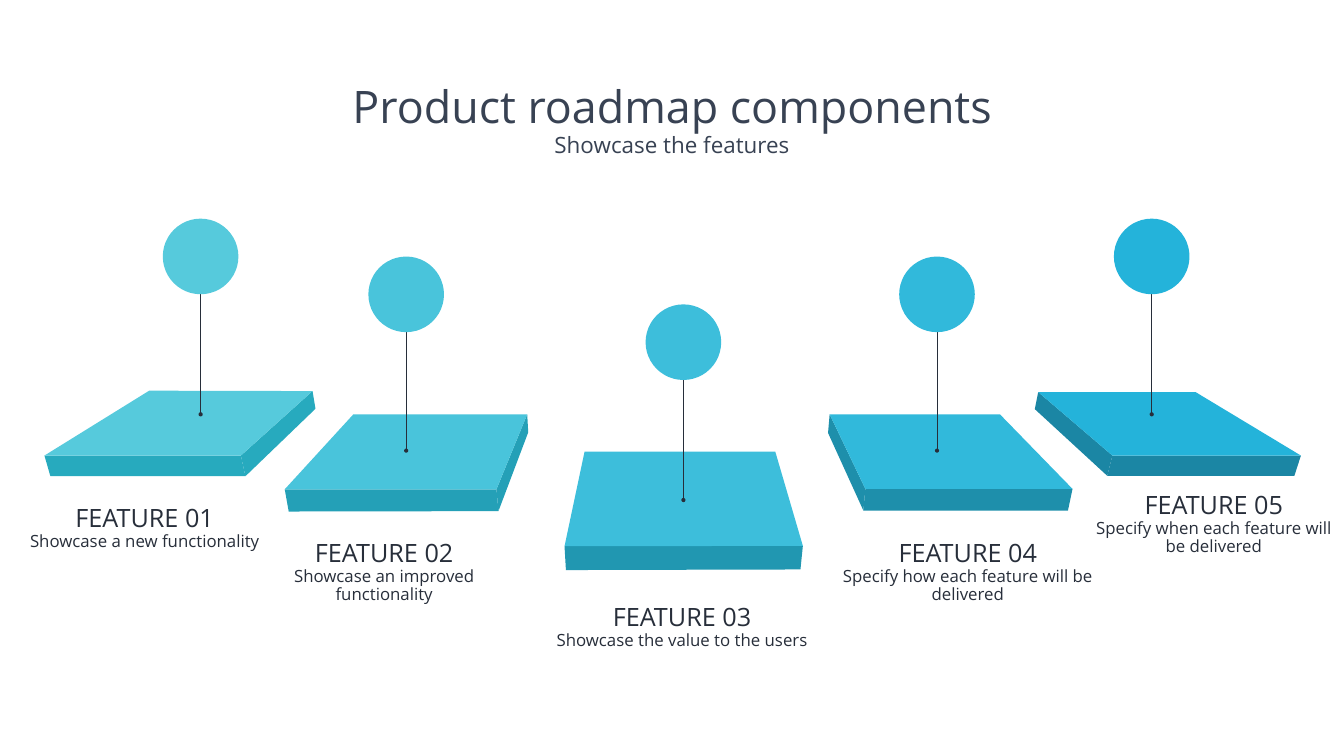
from lxml import etree
from pptx import Presentation
from pptx.dml.color import RGBColor
from pptx.enum.shapes import MSO_CONNECTOR, MSO_SHAPE
from pptx.enum.text import MSO_ANCHOR, MSO_AUTO_SIZE, PP_ALIGN
from pptx.oxml.ns import qn
from pptx.util import Cm, Pt

STRAIGHT = MSO_CONNECTOR.STRAIGHT
OVAL = MSO_SHAPE.OVAL
MIDDLE = MSO_ANCHOR.MIDDLE
TOP = MSO_ANCHOR.TOP
CENTER = PP_ALIGN.CENTER
NO_AUTOFIT = MSO_AUTO_SIZE.NONE

FONT = "Open Sans"
INK = RGBColor(0x27, 0x2E, 0x3A)
TITLE_COLOR = RGBColor(0x38, 0x42, 0x53)

# All positions are in centimetres.
BALL_SIZE = 3.81
PIN_LENGTH = 6.05
LABEL_WIDTH = 15.6
LABEL_HEIGHTS = {1: 2.74, 2: 3.66}  # by number of description lines

TITLE = [("Product roadmap components", 64), ("Showcase the features", 32)]

# Platform corners: B/F = back/front, L/R = left/right.
# "top" holds the upper corners, "bottom" the visible lower ones.
FEATURES = [
    {
        "name": "FEATURE 01", "description": "Showcase a new functionality",
        "label": (-0.51, 26.75), "lines": 1, "ball": (10.11, 11.02), "dot_y": 20.88,
        "light": RGBColor(0x56, 0xCA, 0xDC), "dark": RGBColor(0x27, 0xAA, 0xBE),
        "top": {"BL": (7.52, 19.69), "BR": (15.75, 19.71),
                "FR": (12.14, 22.96), "FL": (2.24, 22.96)},
        "bottom": {"BR": (15.9, 20.6), "FR": (12.37, 24), "FL": (2.54, 24)},
    },
    {
        "name": "FEATURE 02", "description": "Showcase an improved functionality",
        "label": (11.56, 28.96), "lines": 2, "ball": (20.47, 12.93), "dot_y": 22.71,
        "light": RGBColor(0x49, 0xC4, 0xDB), "dark": RGBColor(0x24, 0xA0, 0xB7),
        "top": {"BL": (17.81, 20.88), "BR": (26.57, 20.88),
                "FR": (25.02, 24.66), "FL": (14.35, 24.66)},
        "bottom": {"BR": (26.62, 21.79), "FR": (25.12, 25.76), "FL": (14.55, 25.78)},
    },
    {
        "name": "FEATURE 03", "description": "Showcase the value to the users",
        "label": (26.57, 31.72), "lines": 1, "ball": (34.44, 15.34), "dot_y": 25.2,
        "light": RGBColor(0x3D, 0xBE, 0xDB), "dark": RGBColor(0x21, 0x97, 0xB1),
        "top": {"BL": (29.46, 22.76), "BR": (39.07, 22.76),
                "FR": (40.46, 27.51), "FL": (28.45, 27.53)},
        "bottom": {"FR": (40.34, 28.7), "FL": (28.52, 28.73)},
    },
    {
        "name": "FEATURE 04", "description": "Specify how each feature will be delivered",
        "label": (40.97, 28.96), "lines": 2, "ball": (47.22, 12.93), "dot_y": 22.71,
        "light": RGBColor(0x31, 0xB9, 0xDB), "dark": RGBColor(0x1E, 0x8F, 0xAB),
        "top": {"BL": (41.81, 20.88), "BR": (50.39, 20.88),
                "FR": (54.05, 24.64), "FL": (43.61, 24.64)},
        "bottom": {"FR": (53.82, 25.73), "FL": (43.51, 25.73), "BL": (41.73, 21.82)},
    },
    {
        "name": "FEATURE 05", "description": "Specify when each feature will be delivered",
        "label": (53.37, 26.54), "lines": 2, "ball": (58.04, 11.02), "dot_y": 20.88,
        "light": RGBColor(0x24, 0xB3, 0xDA), "dark": RGBColor(0x1B, 0x86, 0xA4),
        "top": {"BL": (52.32, 19.76), "BR": (60.25, 19.76),
                "FR": (65.56, 22.96), "FL": (56.06, 22.96)},
        "bottom": {"FR": (65.23, 23.98), "FL": (55.8, 23.98), "BL": (52.15, 20.62)},
    },
]
SIDE_EDGES = [("BR", "FR"), ("FR", "FL"), ("FL", "BL")]


def fill_plain(shape, color):
    shape.shadow.inherit = False
    shape.fill.solid()
    shape.fill.fore_color.rgb = color
    shape.line.fill.background()


def write_lines(text_frame, lines, color, spacing):
    """Write each (text, size) pair as one centred paragraph."""
    for index, (text, size) in enumerate(lines):
        paragraph = text_frame.paragraphs[0] if index == 0 else text_frame.add_paragraph()
        paragraph.alignment = CENTER
        paragraph.line_spacing = spacing
        paragraph.space_before = Pt(0)
        run = paragraph.add_run()
        run.text = text
        run.font.name = FONT
        run.font.size = Pt(size)
        run.font.color.rgb = color


def add_face(shapes, corners, color):
    points = [(Cm(x), Cm(y)) for x, y in corners]
    builder = shapes.build_freeform(*points[0])
    builder.add_line_segments(points[1:], close=True)
    fill_plain(builder.convert_to_shape(), color)


def add_platform(slide, feature):
    shapes = slide.shapes.add_group_shape().shapes
    top, bottom = feature["top"], feature["bottom"]
    for start, end in SIDE_EDGES:
        if start in bottom and end in bottom:
            corners = [top[start], bottom[start], bottom[end], top[end]]
            add_face(shapes, corners, feature["dark"])
    add_face(shapes, list(top.values()), feature["light"])


def add_pin(slide, feature):
    x, dot_y = Cm(feature["ball"][0]), feature["dot_y"]
    pin = slide.shapes.add_connector(STRAIGHT, x, Cm(dot_y - PIN_LENGTH), x, Cm(dot_y))
    pin.line.color.rgb = INK
    pin.line.width = Pt(0.75)
    etree.SubElement(pin.line._get_or_add_ln(), qn("a:tailEnd"), type="oval")
    etree.SubElement(pin._element.spPr, qn("a:effectLst"))


def add_ball(slide, feature):
    center_x, top = feature["ball"]
    ball = slide.shapes.add_shape(OVAL, Cm(center_x - BALL_SIZE / 2), Cm(top),
                                  Cm(BALL_SIZE), Cm(BALL_SIZE))
    fill_plain(ball, feature["light"])


def add_label(slide, feature):
    left, center_y = feature["label"]
    height = LABEL_HEIGHTS[feature["lines"]]
    label = slide.shapes.add_textbox(Cm(left), Cm(center_y - height / 2),
                                     Cm(LABEL_WIDTH), Cm(height))
    frame = label.text_frame
    frame.word_wrap = True
    frame.vertical_anchor = MIDDLE
    frame.margin_left = frame.margin_right = Cm(1.35)
    frame.margin_top, frame.margin_bottom = Cm(0.13), Cm(0.33)
    write_lines(frame, [(feature["name"], 36), (feature["description"], 24)], INK, 0.89)


def add_title(slide):
    title = slide.shapes.title
    title.left, title.top, title.width, title.height = Cm(5.08), Cm(4.17), Cm(57.58), Cm(4.55)
    frame = title.text_frame
    frame.word_wrap = True
    frame.auto_size = NO_AUTOFIT
    frame.vertical_anchor = TOP
    write_lines(frame, TITLE, TITLE_COLOR, 0.9)


def main():
    presentation = Presentation()
    presentation.slide_width, presentation.slide_height = Cm(67.73), Cm(38.1)
    slide = presentation.slides.add_slide(presentation.slide_layouts[5])
    add_title(slide)
    for add_part in (add_platform, add_pin, add_ball, add_label):
        for feature in FEATURES:
            add_part(slide, feature)
    presentation.save("out.pptx")


if __name__ == "__main__":
    main()
